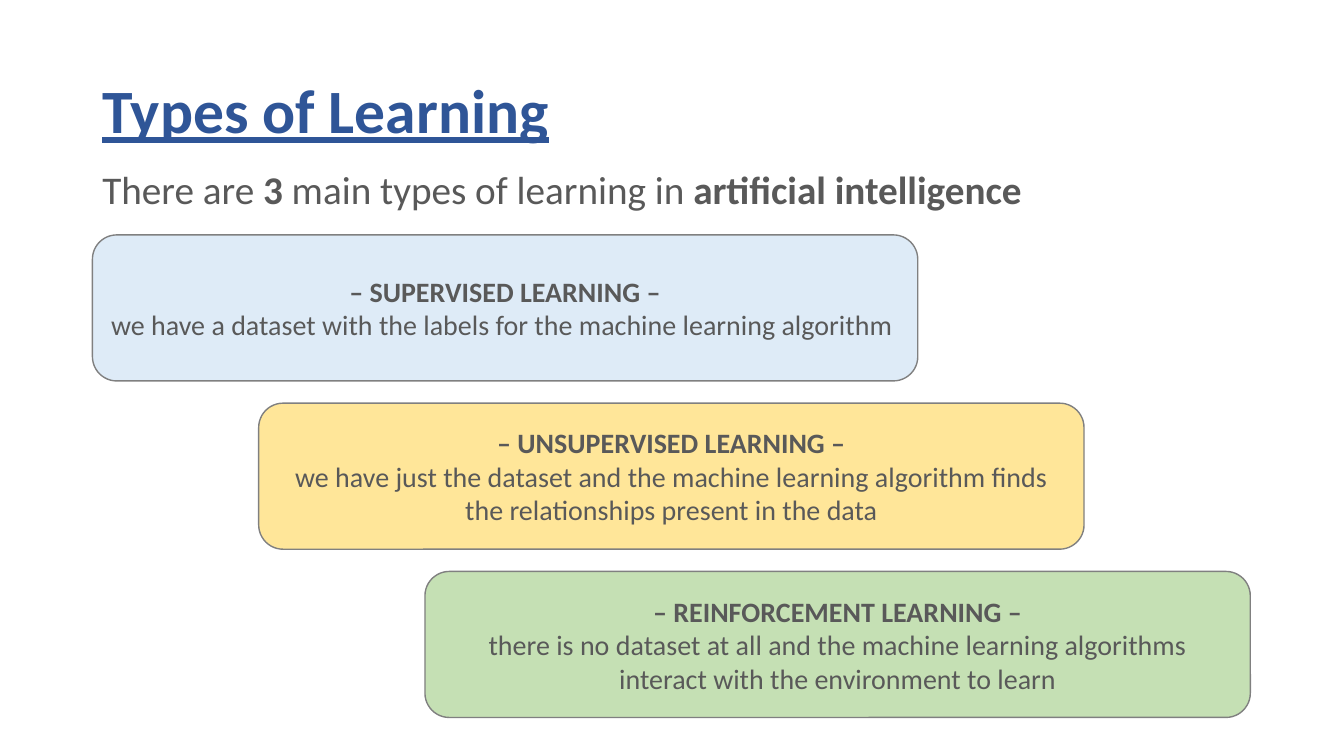
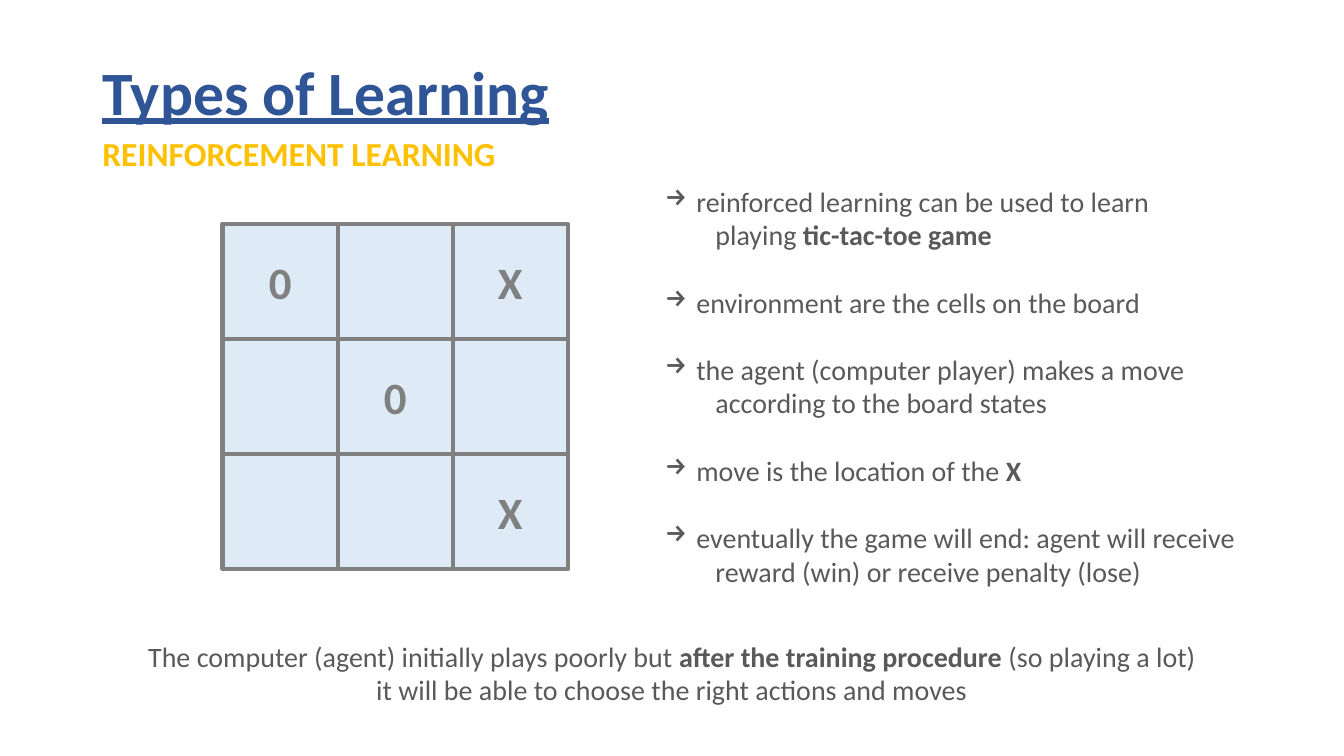
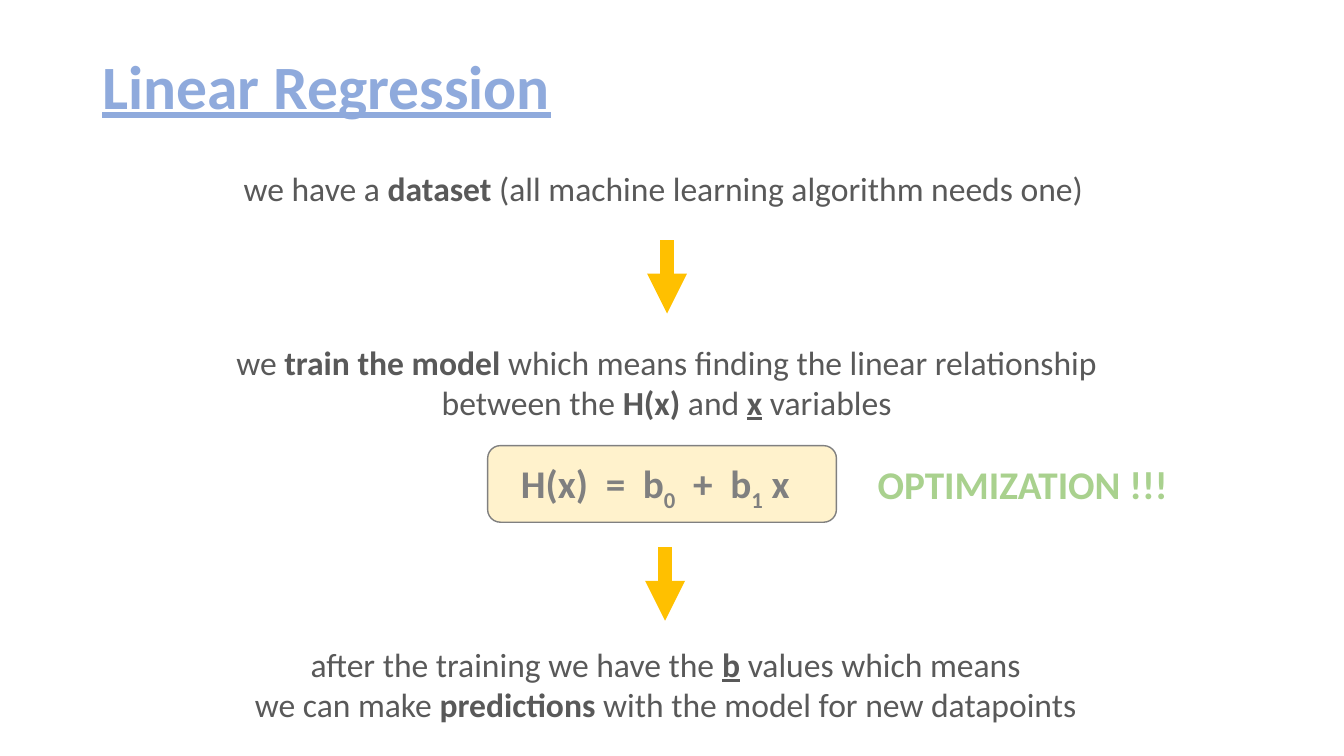
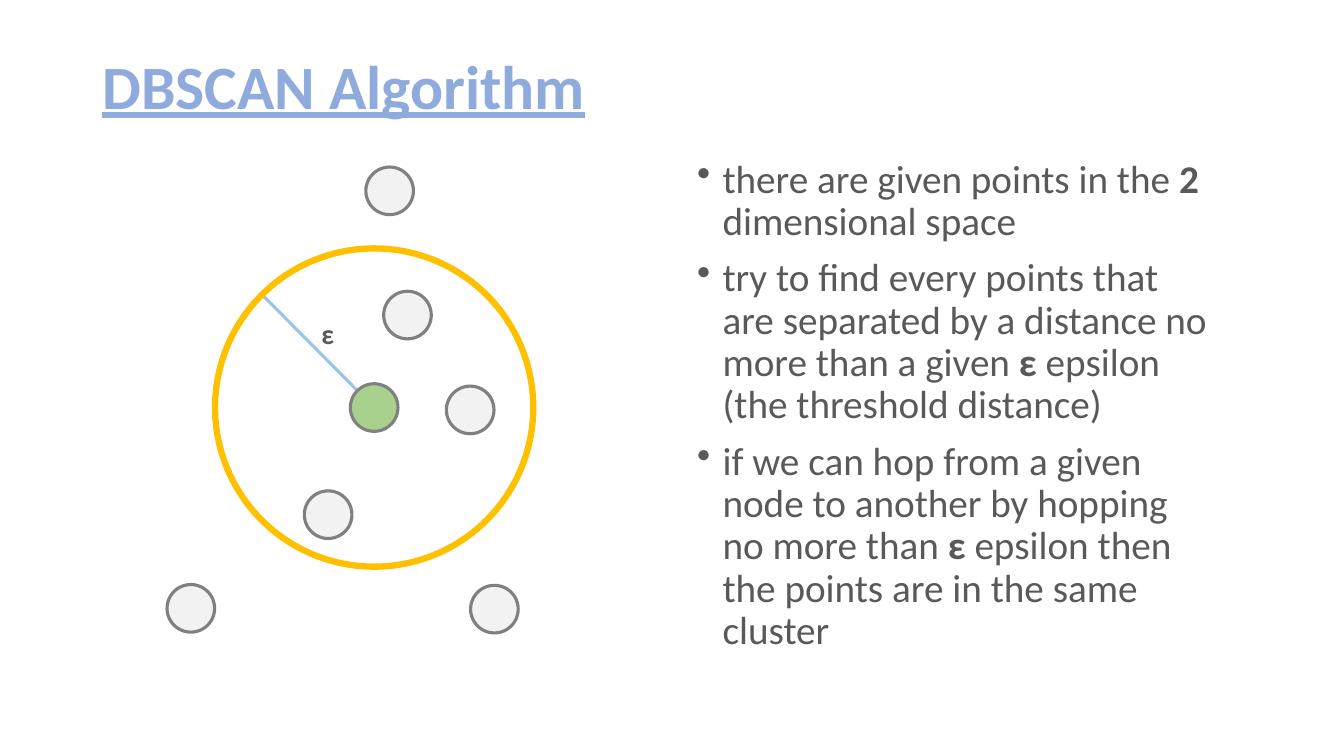
import lxml.etree
import pptx
import pptx.dml.color
import pptx.enum.shapes
import pptx.enum.text
import pptx.oxml.ns
import pptx.util

Cm = pptx.util.Cm
Pt = pptx.util.Pt
SHAPE = pptx.enum.shapes.MSO_SHAPE
ALIGN = pptx.enum.text.PP_ALIGN
ANCHOR = pptx.enum.text.MSO_ANCHOR
FIT = pptx.enum.text.MSO_AUTO_SIZE
qn = pptx.oxml.ns.qn

COLORS = {
    "navy": "2F5597",
    "periwinkle": "8FAADC",
    "text": "595959",
    "gray": "808080",
    "gold": "FFC000",
    "sky": "DEEBF7",
    "line_blue": "9DC3E6",
    "yellow": "FFE699",
    "cream": "FFF2CC",
    "pale_green": "C5E0B4",
    "green": "A9D18E",
    "light": "F2F2F2",
}
BOLD, UNDERLINE, SUBSCRIPT = "*", "_", "~"


def rgb(name):
    return pptx.dml.color.RGBColor.from_string(COLORS[name])


class Deck:
    font = "Calibri"
    left = 2.33
    width = 29.21

    def __init__(self):
        self.deck = pptx.Presentation()
        self.deck.slide_width = Cm(33.87)
        self.deck.slide_height = Cm(19.05)
        self.slide = None

    def new_slide(self, title, top, color):
        self.slide = self.deck.slides.add_slide(self.deck.slide_layouts[6])
        heading = self.text([f"*_{title}*"], self.left, top, self.width, 3.68,
                            44, color, wrap=True, spacing=0.9)
        heading.text_frame.vertical_anchor = ANCHOR.MIDDLE

    def set_lines(self, frame, lines, size, color, bold=False, align=None, spacing=None):
        for number, line in enumerate(lines):
            paragraph = frame.add_paragraph() if number else frame.paragraphs[0]
            paragraph.alignment = align
            paragraph.line_spacing = spacing
            for index, part in enumerate(line.split(BOLD)):
                if not part:
                    continue
                run = paragraph.add_run()
                run.text = part.lstrip(UNDERLINE + SUBSCRIPT)
                run.font.name = self.font
                run.font.size = Pt(size)
                run.font.color.rgb = rgb(color)
                run.font.bold = bold or index % 2 == 1
                run.font.underline = part.startswith(UNDERLINE)
                if part.startswith(SUBSCRIPT):
                    run.font._element.set("baseline", "-25000")

    def text(self, lines, left, top, width, height, size, color="text",
             wrap=False, **style):
        box = self.slide.shapes.add_textbox(Cm(left), Cm(top), Cm(width), Cm(height))
        frame = box.text_frame
        frame.word_wrap = wrap
        frame.auto_size = FIT.NONE if wrap else FIT.SHAPE_TO_FIT_TEXT
        self.set_lines(frame, lines, size, color, **style)
        return box

    def points(self, points, left, top, width, height, size, mark, hang, gap,
               follow=1.27, **style):
        lines = [line for point in points for line in point]
        box = self.text(lines, left, top, width, height, size, **style)
        paragraphs = iter(box.text_frame.paragraphs)
        for number, point in enumerate(points):
            for row in range(len(point)):
                paragraph = next(paragraphs)
                properties = paragraph._p.get_or_add_pPr()
                properties.set("marL", str(Cm(follow if row else hang)))
                properties.set("indent", str(0 if row else -Cm(hang)))
                if row == 0:
                    bullet = lxml.etree.SubElement(properties, qn("a:buChar"))
                    bullet.set("char", mark)
                    if number:
                        paragraph.space_before = Pt(gap)

    def shape(self, kind, left, top, width, height, fill, line="gray", weight=1,
              lines=(), size=20, color="text", bold=False):
        shape = self.slide.shapes.add_shape(kind, Cm(left), Cm(top), Cm(width), Cm(height))
        shape.shadow.inherit = False
        if fill:
            shape.fill.solid()
            shape.fill.fore_color.rgb = rgb(fill)
        else:
            shape.fill.background()
        shape.line.color.rgb = rgb(line)
        shape.line.width = Pt(weight)
        shape.text_frame.vertical_anchor = ANCHOR.MIDDLE
        self.set_lines(shape.text_frame, lines, size, color, bold, ALIGN.CENTER)

    def circle(self, x, y, radius, fill, line="gray", weight=2.25):
        self.shape(SHAPE.OVAL, x - radius, y - radius, 2 * radius, 2 * radius,
                   fill, line, weight)

    def line(self, x1, y1, x2, y2, color, weight, arrow=False):
        line = self.slide.shapes.add_connector(
            pptx.enum.shapes.MSO_CONNECTOR.STRAIGHT, Cm(x1), Cm(y1), Cm(x2), Cm(y2))
        line.line.color.rgb = rgb(color)
        line.line.width = Pt(weight)
        properties = line._element.spPr
        if arrow:
            head = lxml.etree.SubElement(properties.find(qn("a:ln")), qn("a:tailEnd"))
            head.set("type", "triangle")
        lxml.etree.SubElement(properties, qn("a:effectLst"))

    def down_arrow(self, x, top):
        self.line(x, top, x, top + 1.85, "gold", 9.5, arrow=True)


def learning_types(deck):
    deck.new_slide("Types of Learning", 1.02, "navy")
    deck.text(["There are *3* main types of learning in *artificial intelligence*"],
              deck.left, 4.17, deck.width, 12.09, 28, wrap=True, spacing=0.9)
    kinds = [
        ("SUPERVISED", "sky",
         "we have a dataset with the labels for the machine learning algorithm "),
        ("UNSUPERVISED", "yellow",
         "we have just the dataset and the machine learning algorithm finds "
         "the relationships present in the data"),
        ("REINFORCEMENT", "pale_green",
         "there is no dataset at all and the machine learning algorithms "
         "interact with the environment to learn"),
    ]
    for step, (kind, fill, meaning) in enumerate(kinds):
        deck.shape(SHAPE.ROUNDED_RECTANGLE, deck.left + 4.19 * step, 5.92 + 4.24 * step,
                   20.8, 3.68, fill, lines=[f"*– {kind} LEARNING –*", meaning])


def reinforcement(deck):
    deck.new_slide("Types of Learning", 0.56, "navy")
    deck.text(["REINFORCEMENT LEARNING"], deck.left, 3.23, 10.52, 1.27, 24, "gold", bold=True)
    cell = 2.9
    for row, marks in enumerate(["0 X", " 0 ", "  X"]):
        for column, mark in enumerate(marks):
            deck.shape(SHAPE.RECTANGLE, 5.61 + cell * column, 5.64 + cell * row, cell, cell,
                       "sky", weight=3, lines=[mark.strip()], size=32, color="gray", bold=True)
    deck.points([
        ["reinforced learning can be used to learn", "playing *tic-tac-toe game*"],
        ["environment are the cells on the board"],
        ["the agent (computer player) makes a move", "according to the board states"],
        ["move is the location of the *X*"],
        ["eventually the game will end: agent will receive",
         "reward (win) or receive penalty (lose)"],
    ], 16.51, 4.52, 15.01, 10.44, 20, mark="→", hang=0.79, gap=24)
    deck.text([
        "The computer (agent) initially plays poorly but "
        "*after the training procedure *(so playing a lot)",
        "it will be able to choose the right actions and moves",
    ], 3.33, 15.98, 27.2, 1.96, 20, align=ALIGN.CENTER)


def linear_regression(deck):
    deck.new_slide("Linear Regression", 0.41, "periwinkle")
    deck.text(["we have a *dataset* (all machine learning algorithm needs one)"],
              5.89, 4.11, 21.87, 1.27, 24)
    deck.down_arrow(16.81, 6.05)
    deck.text([
        "we *train the model *which means finding the linear relationship",
        "between the *H(x)* and *_x* variables",
    ], 5.61, 8.48, 22.38, 2.31, 24, align=ALIGN.CENTER)
    deck.shape(SHAPE.ROUNDED_RECTANGLE, 12.29, 11.23, 8.79, 1.93, "cream")
    deck.text(["H(x)  =  b*~0*  +  b*~1* x"], 12.88, 11.46, 7.7, 1.45, 28, "gray", bold=True)
    deck.text(["OPTIMIZATION !!!"], 21.87, 11.48, 7.9, 1.45, 28, "green", bold=True)
    deck.down_arrow(16.76, 13.79)
    deck.text([
        "after the training we have the *_b* values which means",
        "we can make *predictions* with the model for new datapoints",
    ], 6.07, 16.1, 21.41, 2.31, 24, align=ALIGN.CENTER)


def dbscan(deck):
    deck.new_slide("DBSCAN Algorithm", 0.41, "periwinkle")
    deck.points([
        ["there are given points in the *2* dimensional space"],
        ["try to find every points that are separated by a distance no more than "
         "a given *ε* epsilon (the threshold distance)"],
        ["if we can hop from a given node to another by hopping no more than "
         "*ε* epsilon then the points are in the same cluster"],
    ], 17.32, 3.89, 13.44, 13.94, 28, mark="•", hang=0.64, gap=10, wrap=True, spacing=0.9)
    x, y, epsilon, dot = 9.43, 10.27, 4.01, 0.6
    deck.line(6.6, 7.42, x, y, "line_blue", 2.25)
    deck.text(["ε"], 7.85, 7.85, 0.84, 1.12, 20, bold=True)
    deck.circle(x, y, epsilon, None, "gold", 4.5)
    deck.circle(x, y, dot, "green")
    neighbours = [(8.27, 12.97), (10.27, 7.94), (11.85, 10.33)]
    outsiders = [(12.46, 15.35), (4.81, 15.33), (9.82, 4.81)]
    for point in neighbours + outsiders:
        deck.circle(*point, dot, "light")


def main():
    deck = Deck()
    learning_types(deck)
    reinforcement(deck)
    linear_regression(deck)
    dbscan(deck)
    deck.deck.save("out.pptx")


if __name__ == "__main__":
    main()
